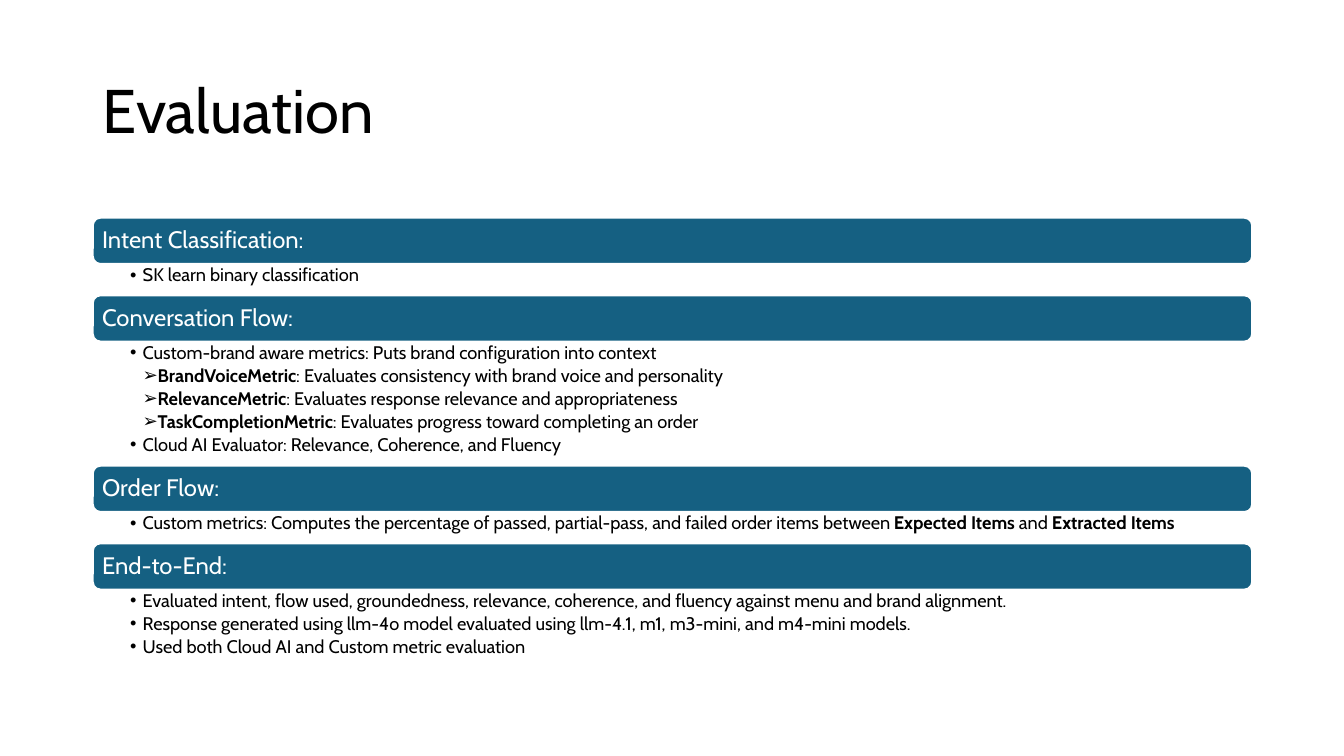
from dataclasses import dataclass

from lxml.etree import SubElement
from pptx import Presentation
from pptx.dml.color import RGBColor
from pptx.enum.shapes import MSO_SHAPE
from pptx.enum.text import MSO_ANCHOR, MSO_AUTO_SIZE, PP_ALIGN
from pptx.oxml.ns import qn
from pptx.util import Inches, Pt


@dataclass(frozen=True)
class Theme:
    font: str = "Cabin"
    ink: RGBColor = RGBColor(0x00, 0x00, 0x00)
    paper: RGBColor = RGBColor(0xFF, 0xFF, 0xFF)
    bar: RGBColor = RGBColor(0x15, 0x60, 0x82)
    title: int = 44
    heading: int = 17
    body: int = 13


THEME = Theme()
BAR_H, FIRST_LINE_H, LINE_H = 0.46, 0.31, 0.23
BULLETS = {1: "•", 2: "➢"}

# Each item is a level and its runs; a run is (text, bold).
SECTIONS = [
    ("Intent Classification:", [
        (1, [("SK learn binary classification", False)]),
    ]),
    ("Conversation Flow:", [
        (1, [("Custom-brand aware metrics: Puts brand configuration into context", False)]),
        (2, [("BrandVoiceMetric", True),
             (": Evaluates consistency with brand voice and personality", False)]),
        (2, [("RelevanceMetric", True),
             (": Evaluates response relevance and appropriateness", False)]),
        (2, [("TaskCompletionMetric", True),
             (": Evaluates progress toward completing an order", False)]),
        (1, [("Cloud AI Evaluator: Relevance, Coherence, and Fluency", False)]),
    ]),
    ("Order Flow:", [
        (1, [("Custom metrics: Computes the percentage of passed, partial-pass, "
              "and failed order items between ", False),
             ("Expected Items ", True), ("and ", False), ("Extracted Items", True)]),
    ]),
    ("End-to-End:", [
        (1, [("Evaluated intent, flow used, groundedness, relevance, coherence, "
              "and fluency against menu and brand alignment.", False)]),
        (1, [("Response generated using llm-4o model evaluated using llm-4.1, m1, "
              "m3-mini, and m4-mini models.", False)]),
        (1, [("Used both Cloud AI and Custom metric evaluation", False)]),
    ]),
]


def add_run(p, text, size, color, bold=False):
    r = p.add_run()
    r.text = text
    r.font.name = THEME.font
    r.font.size = Pt(size)
    r.font.bold = bold
    r.font.color.rgb = color


def set_frame(tf, anchor, left, top, right, bottom):
    tf.word_wrap = True
    tf.auto_size = MSO_AUTO_SIZE.NONE
    tf.vertical_anchor = anchor
    tf.margin_left, tf.margin_top = Inches(left), Inches(top)
    tf.margin_right, tf.margin_bottom = Inches(right), Inches(bottom)


def set_bullet(p, level):
    p.level = level
    pPr = p._p.get_or_add_pPr()
    pPr.set("marL", str(Inches(0.125 * level)))
    pPr.set("indent", str(-Inches(0.125)))
    SubElement(pPr, qn("a:buFont"), typeface="Arial")
    SubElement(pPr, qn("a:buChar"), char=BULLETS[level])


def add_title(s, text, x, y, w, h):
    title = s.shapes.title
    title.left, title.top = Inches(x), Inches(y)
    title.width, title.height = Inches(w), Inches(h)
    tf = title.text_frame
    set_frame(tf, MSO_ANCHOR.MIDDLE, 0.1, 0.05, 0.1, 0.05)
    p = tf.paragraphs[0]
    p.alignment = PP_ALIGN.LEFT
    p.line_spacing = 0.9
    add_run(p, text, THEME.title, THEME.ink)


def add_bar(s, heading, x, y, w, h):
    bar = s.shapes.add_shape(MSO_SHAPE.ROUNDED_RECTANGLE,
                             Inches(x), Inches(y), Inches(w), Inches(h))
    bar.shadow.inherit = False
    bar.fill.solid()
    bar.fill.fore_color.rgb = THEME.bar
    bar.line.color.rgb = THEME.paper
    bar.line.width = Pt(1.5)
    set_frame(bar.text_frame, MSO_ANCHOR.MIDDLE, 0.07, 0.07, 0.07, 0.07)
    p = bar.text_frame.paragraphs[0]
    p.alignment = PP_ALIGN.LEFT
    p.line_spacing = 0.9
    add_run(p, heading, THEME.heading, THEME.paper)


def add_items(s, items, x, y, w, h):
    box = s.shapes.add_textbox(Inches(x), Inches(y), Inches(w), Inches(h))
    tf = box.text_frame
    set_frame(tf, MSO_ANCHOR.TOP, 0.37, 0.02, 0.13, 0.02)
    for i, (level, runs) in enumerate(items):
        p = tf.add_paragraph() if i else tf.paragraphs[0]
        p.line_spacing = 0.9
        p.space_after = Pt(2.4)
        set_bullet(p, level)
        for text, bold in runs:
            add_run(p, text, THEME.body, THEME.ink, bold)


def add_sections(s, sections, x, y, w):
    """Stack heading bars and their lists, each list as tall as its lines."""
    for heading, items in sections:
        add_bar(s, heading, x, y, w, BAR_H)
        y += BAR_H
        items_h = FIRST_LINE_H + LINE_H * (len(items) - 1)
        add_items(s, items, x, y, w, items_h)
        y += items_h


def main():
    prs = Presentation()
    prs.slide_width, prs.slide_height = Inches(13.33), Inches(7.5)
    s = prs.slides.add_slide(prs.slide_layouts[5])
    add_title(s, "Evaluation", 0.92, 0.4, 11.5, 1.45)
    add_sections(s, SECTIONS, 0.92, 2.16, 11.5)
    prs.save("out.pptx")


if __name__ == "__main__":
    main()
